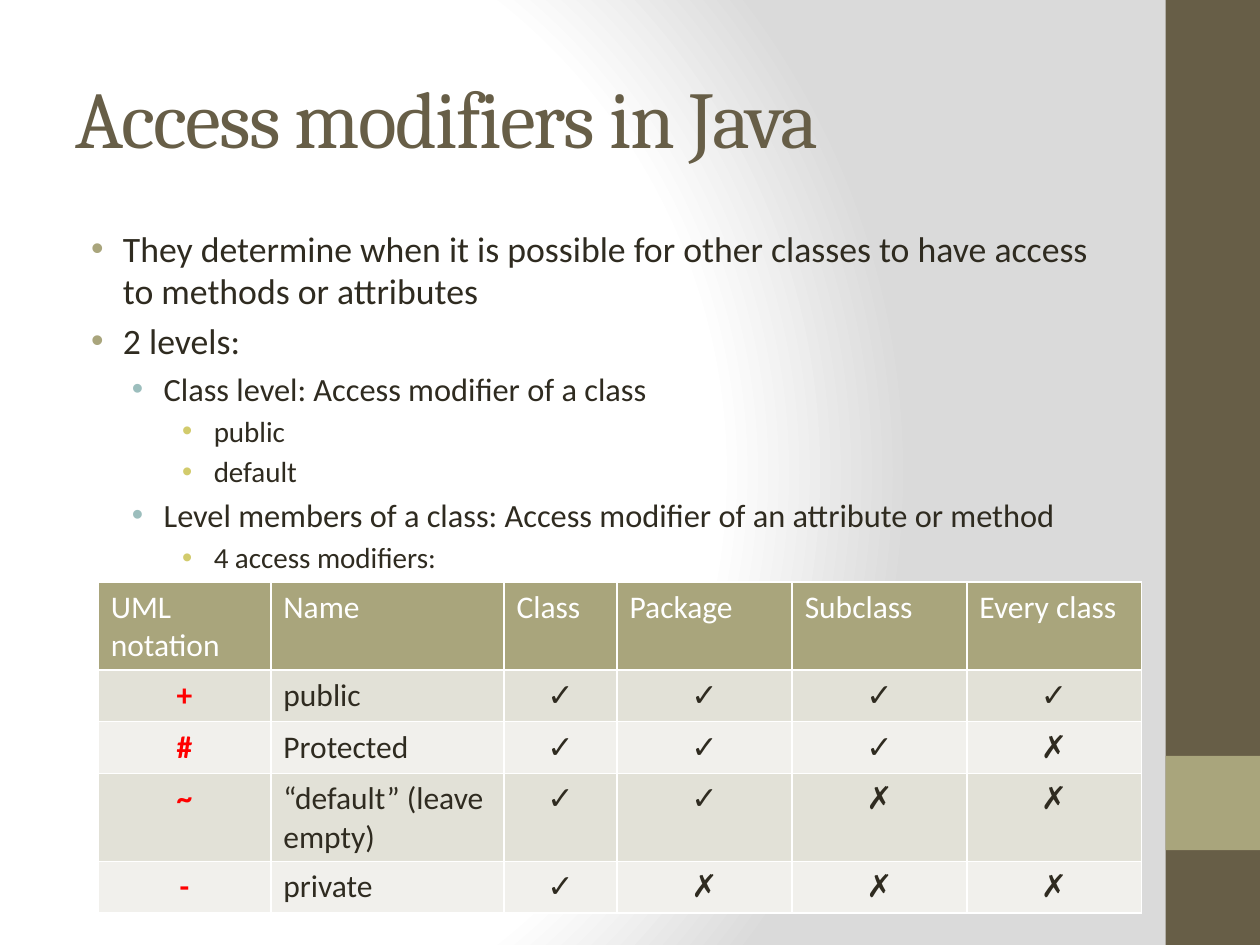
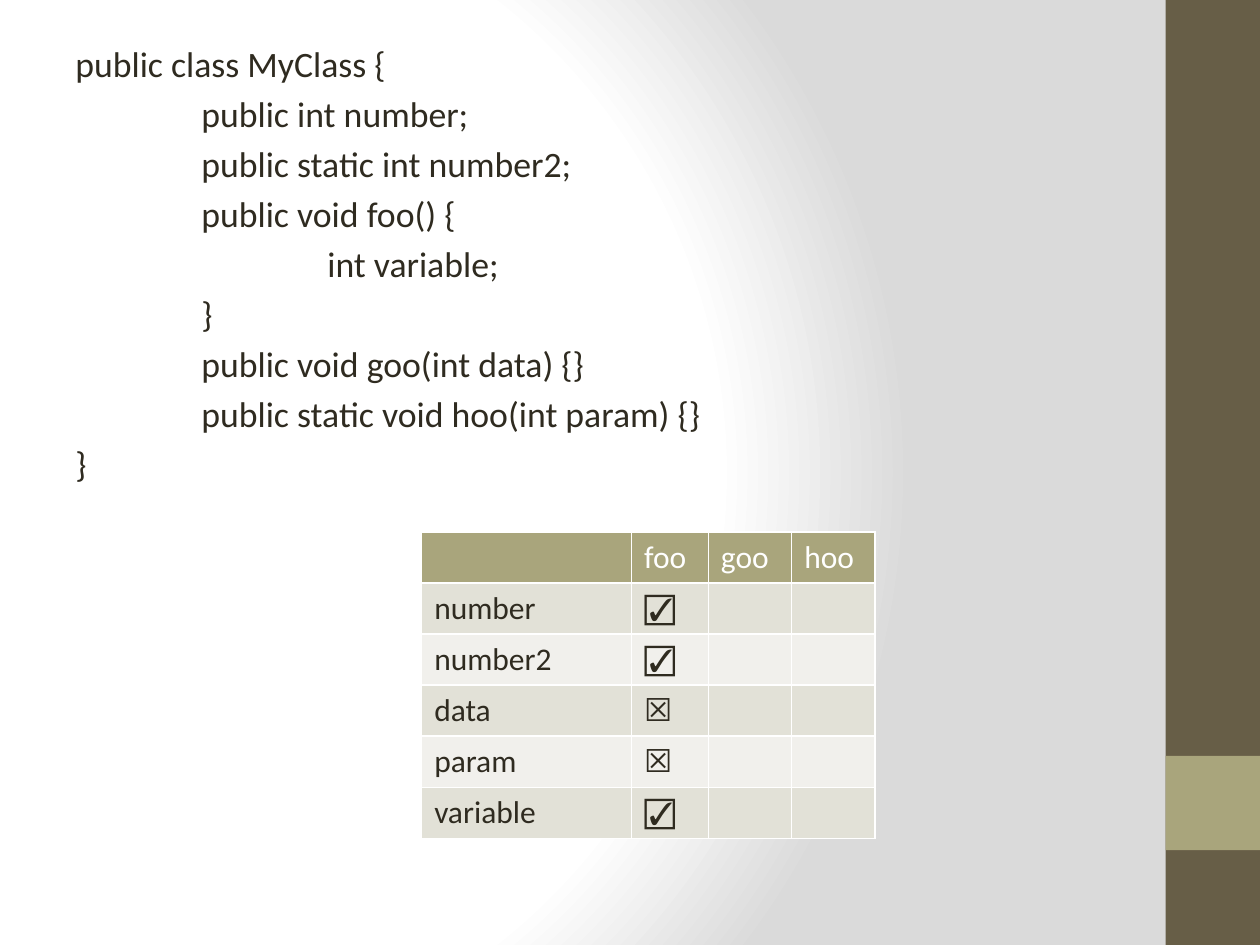
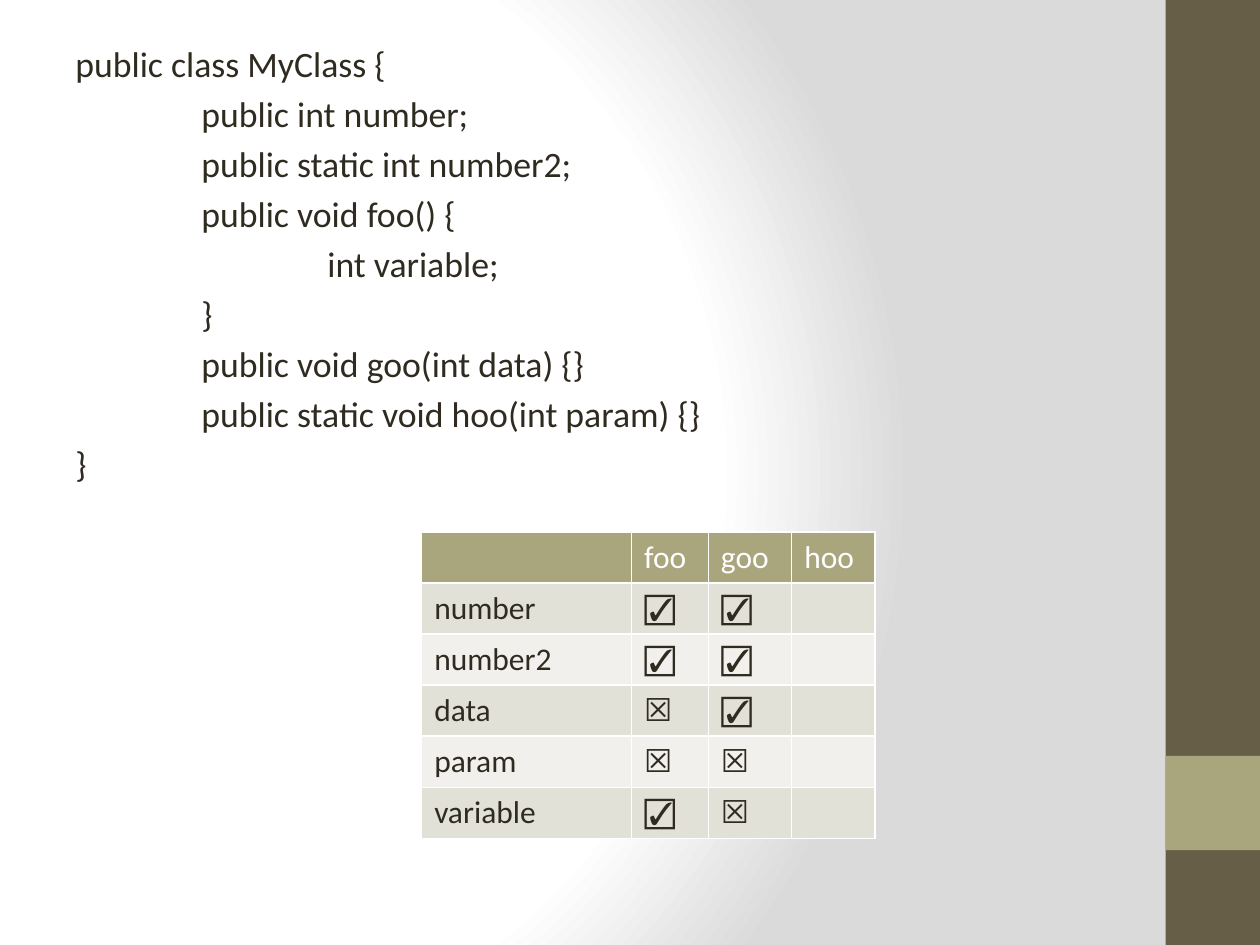
from lxml import etree
from pptx import Presentation
from pptx.dml.color import RGBColor
from pptx.enum.shapes import MSO_SHAPE as Geo
from pptx.enum.text import MSO_ANCHOR as Anchor, MSO_AUTO_SIZE as Fit, PP_ALIGN as Align
from pptx.oxml import parse_xml
from pptx.oxml.ns import nsdecls, qn
from pptx.util import Cm, Pt

WHITE = RGBColor(0xFF, 0xFF, 0xFF)
INK = RGBColor(0x2F, 0x2B, 0x20)
BROWN = RGBColor(0x67, 0x5E, 0x47)
OLIVE = RGBColor(0xA9, 0xA5, 0x7C)
TEAL = RGBColor(0x9C, 0xBE, 0xBD)
GOLD = RGBColor(0xD2, 0xCB, 0x6C)
RED = RGBColor(0xFF, 0x00, 0x00)
DARK = RGBColor(0xE2, 0xE1, 0xD7)
LIGHT = RGBColor(0xF1, 0xF0, 0xEC)

HEAD, BODY = "Cambria", "Calibri"
SIZE = 20.4
# Per level: text size, left margin, bullet colour
LEVELS = [(SIZE, 0.96, OLIVE), (18.5, 1.78, TEAL), (16.6, 2.79, GOLD)]


def add_text(slide, top, width, height, lines):
    """Add a body box with one paragraph per (level, text); level None is tabbed code."""
    box = slide.shapes.add_textbox(Cm(1.27), Cm(top), Cm(width), Cm(height))
    frame = box.text_frame
    frame.word_wrap = True
    for i, (level, text) in enumerate(lines):
        para = frame.paragraphs[0] if i == 0 else frame.add_paragraph()
        para.text = text
        size, left, color = LEVELS[level or 0]
        font = para.runs[0].font
        font.name, font.size, font.color.rgb = BODY, Pt(size), INK
        para.space_before = Pt(round(size * 0.2, 1))
        props = para._p.get_or_add_pPr()
        if level is None:
            tabs = etree.SubElement(props, qn("a:tabLst"))
            for stop in (2.54, 5.08):
                etree.SubElement(tabs, qn("a:tab"), pos=str(Cm(stop)), algn="l")
            continue
        para.level = level
        props.set("marL", str(Cm(left)))
        props.set("indent", str(-Cm(0.64)))
        tint = etree.SubElement(props, qn("a:buClr"))
        etree.SubElement(tint, qn("a:srgbClr"), val=str(color))
        etree.SubElement(props, qn("a:buFont"), typeface="Arial")
        etree.SubElement(props, qn("a:buChar"), char="•")


def add_grid(slide, left, top, widths, high, rows):
    """Add a table with a header row, banded rows and white borders."""
    table = slide.shapes.add_table(
        len(rows), len(widths), Cm(left), Cm(top), Cm(sum(widths)), Cm(high * len(rows))
    ).table
    for col, width in zip(table.columns, widths):
        col.width = Cm(width)
    for r, row in enumerate(rows):
        table.rows[r].height = Cm(high)
        for c, text in enumerate(row):
            cell = table.cell(r, c)
            props = cell._tc.get_or_add_tcPr()
            for side in "LRTB":
                line = etree.SubElement(props, qn("a:ln" + side), w=str(Pt(1)))
                fill = etree.SubElement(line, qn("a:solidFill"))
                etree.SubElement(fill, qn("a:srgbClr"), val=str(WHITE))
            cell.fill.solid()
            cell.fill.fore_color.rgb = OLIVE if r == 0 else DARK if r % 2 else LIGHT
            cell.text_frame.text = text
            for run in cell.text_frame.paragraphs[0].runs:
                font = run.font
                font.name, font.size, font.bold = BODY, Pt(18), False
                font.color.rgb = INK if r else WHITE
    return table


deck = Presentation()
deck.slide_width, deck.slide_height = Cm(25.4), Cm(19.05)

# Shared background and side bands, on the master
master = deck.slide_master
master.background.fill.gradient()
plain = master.element.find(".//" + qn("a:gradFill"))
glow = parse_xml(
    f'<a:gradFill {nsdecls("a")} rotWithShape="1"><a:gsLst>'
    f'<a:gs pos="0"><a:srgbClr val="{WHITE}"/></a:gs>'
    f'<a:gs pos="75000"><a:srgbClr val="{WHITE}"/></a:gs>'
    '<a:gs pos="100000"><a:srgbClr val="DADADA"/></a:gs></a:gsLst>'
    '<a:path path="circle"><a:fillToRect l="20000" t="50000" r="100000" b="50000"/></a:path>'
    "</a:gradFill>"
)
plain.getparent().replace(plain, glow)

slide = deck.slides.add_slide(deck.slide_layouts[5])
for i, (top, height, color) in enumerate([(0, 19.05, BROWN), (15.24, 1.9, OLIVE)]):
    band = slide.shapes.add_shape(Geo.RECTANGLE, Cm(23.5), Cm(top), Cm(1.9), Cm(height))
    band.shadow.inherit = False
    band.fill.solid()
    band.fill.fore_color.rgb = color
    band.line.fill.background()
    band.element.nvSpPr.cNvPr.set("id", str(20 + i))
    master.shapes.element.append(band.element)

# Slide 1: access modifiers
title = slide.shapes.title
title.left, title.top, title.width, title.height = Cm(1.27), Cm(0.76), Cm(21.16), Cm(3.18)
frame = title.text_frame
frame.text = "Access modifiers in Java"
frame.auto_size, frame.vertical_anchor = Fit.NONE, Anchor.MIDDLE
para = frame.paragraphs[0]
para.alignment = Align.LEFT
font = para.runs[0].font
font.name, font.size, font.color.rgb = HEAD, Pt(46), BROWN
para.runs[0]._r.get_or_add_rPr().set("spc", "-100")

add_text(slide, 4.44, 21.16, 7.29, [
    (0, "They determine when it is possible for other classes to have access to methods or attributes"),
    (0, "2 levels:"),
    (1, "Class level: Access modifier of a class"),
    (2, "public"),
    (2, "default"),
    (1, "Level members of a class: Access modifier of an attribute or method"),
    (2, "4 access modifiers:"),
])
table = add_grid(slide, 1.98, 11.73, [3.48, 4.7, 2.28, 3.53, 3.52, 3.52], 1.04, [
    ["UML notation", "Name", "Class", "Package", "Subclass", "Every class"],
    ["+", "public", *"✓✓✓✓"],
    ["#", "Protected", *"✓✓✓✗"],
    ["~", "“default” (leave empty)", *"✓✓✗✗"],
    ["-", "private", *"✓✗✗✗"],
])
for r in range(1, 5):
    for c in (0, 2, 3, 4, 5):
        para = table.cell(r, c).text_frame.paragraphs[0]
        para.alignment = Align.CENTER
        if c == 0:
            font = para.runs[0].font
            font.bold, font.color.rgb = True, RED

# Slides 2 and 3: scope quiz, one more column answered each time
CODE = [
    "public class MyClass {",
    "\tpublic int number;",
    "\tpublic static int number2;",
    "\tpublic void foo() {",
    "\t\tint variable;",
    "\t}",
    "\tpublic void goo(int data) {}",
    "\tpublic static void hoo(int param) {}",
    "}",
]
NAMES = ["number", "number2", "data", "param", "variable"]
MARKS = ["☑☑☒☒☑", "☑☑☑☒☒"]

for shown in (1, 2):
    slide = deck.slides.add_slide(deck.slide_layouts[6])
    add_text(slide, 0.71, 22.86, 9.19, [(None, line) for line in CODE])
    rows = [["", "foo", "goo", "hoo"]]
    for i, name in enumerate(NAMES):
        marks = [col[i] for col in MARKS[:shown]]
        rows.append([name, *marks, *[""] * (3 - shown)])
    add_grid(slide, 8.5, 10.72, [4.23, 1.55, 1.68, 1.68], 1.03, rows)

deck.save("out.pptx")
